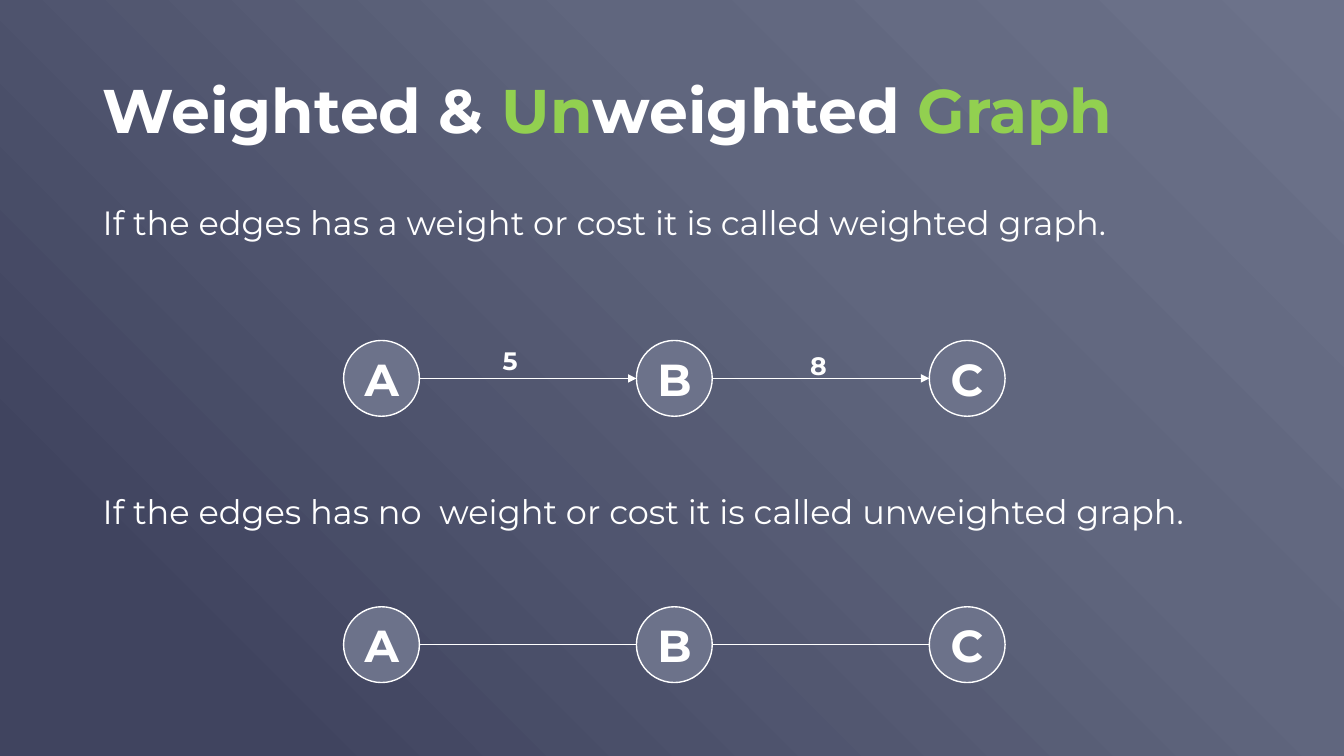
from dataclasses import dataclass

from lxml import etree
from pptx import Presentation
from pptx import util as u
from pptx.dml.color import RGBColor
from pptx.enum import shapes, text
from pptx.oxml import parse_xml
from pptx.oxml.ns import nsdecls, qn

COLOURS = {"white": "FFFFFF", "green": "92D050", "node": "6C728A",
           "light": "6C728A", "middle": "60667E", "dark": "40445F"}
BACKGROUND_STOPS = [(0, "light"), (35, "middle"), (86, "dark")]
FONT = "Montserrat"

LEFT, WIDTH = 2.34, 29.21
NODE_SIZE, NODE_LEFT, NODE_PITCH = 1.91, 8.66, 7.38
NODE_NAMES = "ABC"


@dataclass
class Label:
    wording: str
    left: float
    top: float
    width: float
    height: float
    size: int
    bold: bool = False


@dataclass
class Graph:
    top: float
    directed: bool


STATEMENTS = [
    Label("If the edges has a weight or cost it is called weighted graph.",
          LEFT, 5.08, WIDTH, 2.03, 24),
    Label("If the edges has no  weight or cost it is called unweighted graph.",
          LEFT, 12.37, WIDTH, 4.57, 24),
]
WEIGHTS = [Label("5", 12.42, 8.58, 0.84, 1.02, 18, True),
           Label("8", 20.17, 8.71, 0.84, 1.02, 18, True)]
GRAPHS = [Graph(8.58, True), Graph(15.29, False)]


def rgb(name: str) -> RGBColor:
    return RGBColor.from_string(COLOURS[name])


def style(span, size: int, bold: bool, colour: str = "white") -> None:
    span.font.name = FONT
    span.font.size = u.Pt(size)
    span.font.bold = bold
    span.font.color.rgb = rgb(colour)


def paint_background(page) -> None:
    """Gradient spreading from the top right corner."""
    fill = page.background.fill
    fill.solid()
    stops = "".join(
        f'<a:gs pos="{position * 1000}"><a:srgbClr val="{COLOURS[name]}"/></a:gs>'
        for position, name in BACKGROUND_STOPS)
    gradient = parse_xml(
        f'<a:gradFill {nsdecls("a")} rotWithShape="1"><a:gsLst>{stops}</a:gsLst>'
        '<a:path path="circle"><a:fillToRect l="100000" b="100000"/></a:path>'
        '<a:tileRect t="-100000" r="-100000"/></a:gradFill>')
    properties = page.element.find(".//" + qn("p:bgPr"))
    properties.replace(properties[0], gradient)


def write_title(page) -> None:
    title = page.shapes.title
    title.left, title.top = u.Cm(LEFT), u.Cm(1.02)
    title.width, title.height = u.Cm(WIDTH), u.Cm(3.68)
    frame = title.text_frame
    frame.vertical_anchor = text.MSO_ANCHOR.MIDDLE
    para = frame.paragraphs[0]
    para.alignment = text.PP_ALIGN.LEFT
    para.line_spacing = 0.9
    for wording, colour in [("Weighted & ", "white"), ("Un", "green"),
                            ("weighted ", "white"), ("Graph", "green")]:
        span = para.add_run()
        span.text = wording
        style(span, 44, True, colour)


def add_label(page, label: Label):
    box = page.shapes.add_textbox(u.Cm(label.left), u.Cm(label.top),
                                  u.Cm(label.width), u.Cm(label.height))
    para = box.text_frame.paragraphs[0]
    para.text = label.wording
    style(para.runs[0], label.size, label.bold)
    return box


def add_statement(page, label: Label) -> None:
    frame = add_label(page, label).text_frame
    frame.word_wrap = True
    frame.paragraphs[0].alignment = text.PP_ALIGN.JUSTIFY
    frame.paragraphs[0].line_spacing = 0.9


def add_node(page, name: str, left: float, top: float) -> None:
    node = page.shapes.add_shape(
        shapes.MSO_SHAPE.FLOWCHART_CONNECTOR,
        u.Cm(left), u.Cm(top), u.Cm(NODE_SIZE), u.Cm(NODE_SIZE))
    node.shadow.inherit = False
    node.fill.solid()
    node.fill.fore_color.rgb = rgb("node")
    node.line.color.rgb = rgb("white")
    node.line.width = u.Pt(1)
    frame = node.text_frame
    frame.vertical_anchor = text.MSO_ANCHOR.MIDDLE
    para = frame.paragraphs[0]
    para.text = name
    para.alignment = text.PP_ALIGN.CENTER
    style(para.runs[0], 32, True)


def add_edge(page, start: float, end: float, height: float, directed: bool) -> None:
    edge = page.shapes.add_connector(
        shapes.MSO_CONNECTOR.STRAIGHT,
        u.Cm(start), u.Cm(height), u.Cm(end), u.Cm(height))
    edge.line.color.rgb = rgb("white")
    edge.line.width = u.Pt(0.5)
    if directed:
        etree.SubElement(edge.line._get_or_add_ln(), qn("a:tailEnd"), type="triangle")
    etree.SubElement(edge.element.spPr, qn("a:effectLst"))


def add_graph(page, graph: Graph) -> None:
    for index, name in enumerate(NODE_NAMES):
        left = NODE_LEFT + index * NODE_PITCH
        add_node(page, name, left, graph.top)
        if index:
            add_edge(page, left - NODE_PITCH + NODE_SIZE, left,
                     graph.top + NODE_SIZE / 2, graph.directed)


def main() -> None:
    deck = Presentation()
    deck.slide_width, deck.slide_height = u.Cm(33.87), u.Cm(19.05)
    page = deck.slides.add_slide(deck.slide_layouts.get_by_name("Title Only"))
    paint_background(page)
    write_title(page)

    # Explanations and the graph under each
    for statement, graph in zip(STATEMENTS, GRAPHS):
        add_statement(page, statement)
        add_graph(page, graph)

    # Edge weights
    for weight in WEIGHTS:
        box = add_label(page, weight)
        box.text_frame.word_wrap = False
        box.text_frame.auto_size = text.MSO_AUTO_SIZE.SHAPE_TO_FIT_TEXT

    deck.save("out.pptx")


if __name__ == "__main__":
    main()
